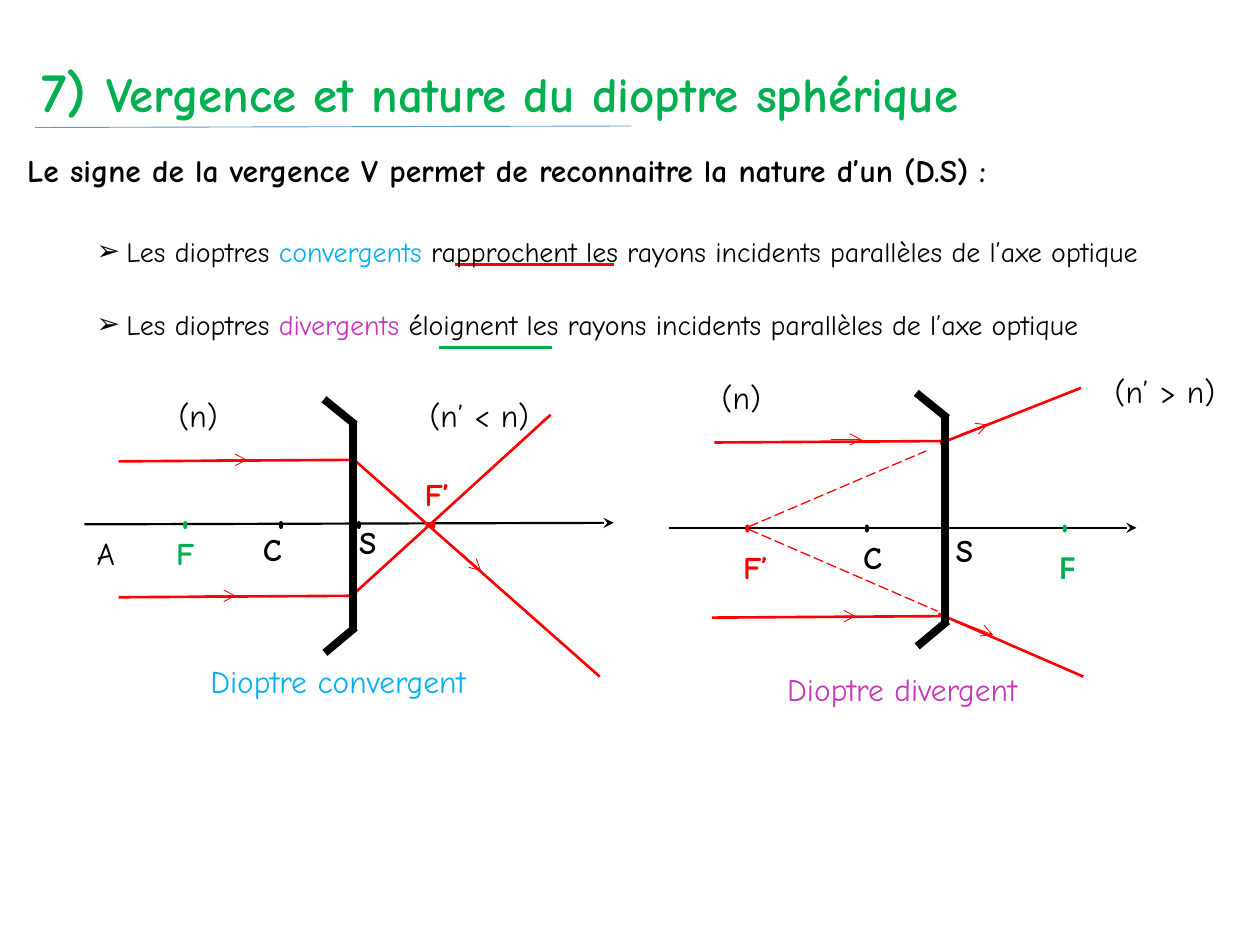
from dataclasses import dataclass

from lxml.etree import SubElement
from pptx import Presentation
from pptx.dml.color import RGBColor
from pptx.enum.dml import MSO_LINE_DASH_STYLE as Dash
from pptx.enum.shapes import MSO_CONNECTOR as Connector, MSO_SHAPE as Shape
from pptx.enum.text import PP_ALIGN as Align
from pptx.oxml.ns import qn
from pptx.util import Cm, Pt

COLORS = {
    "black": "000000", "red": "FF0000", "green": "00B050",
    "cyan": "00B0F0", "purple": "C937B8", "blue": "5B9BD5",
}
FONT = "Comic Neue"


@dataclass
class Line:
    start: tuple[float, float]
    end: tuple[float, float]
    color: str = "red"
    weight: float = 1.5
    head: str = ""
    dashed: bool = False


@dataclass
class Span:
    text: str
    color: str = "black"
    size: float = 18


@dataclass
class Label:
    left: float
    top: float
    width: float
    spans: list[Span]
    height: float = 1.02
    bold: bool = False
    align: Align = Align.LEFT
    bullet: bool = False
    font: str = FONT
    wrap: bool = True


@dataclass
class Dot:
    left: float
    top: float
    color: str = "black"


def rgb(name: str) -> RGBColor:
    return RGBColor.from_string(COLORS[name])


def draw_line(page, line: Line) -> None:
    points = [Cm(value) for value in (*line.start, *line.end)]
    connector = page.shapes.add_connector(Connector.STRAIGHT, *points)
    connector.line.color.rgb = rgb(line.color)
    connector.line.width = Pt(line.weight)
    if line.dashed:
        connector.line.dash_style = Dash.LONG_DASH
    if line.head:
        outline = connector.line._get_or_add_ln()
        SubElement(outline, qn("a:tailEnd"), type=line.head)
    SubElement(connector._element.spPr, qn("a:effectLst"))


def draw_dot(page, dot: Dot) -> None:
    shape = page.shapes.add_shape(Shape.OVAL, Cm(dot.left), Cm(dot.top), Cm(0.05), Cm(0.13))
    shape.shadow.inherit = False
    shape.fill.solid()
    shape.fill.fore_color.rgb = rgb(dot.color)
    shape.line.color.rgb = rgb(dot.color)
    shape.line.width = Pt(1)


def add_bullet(para) -> None:
    props = para._p.get_or_add_pPr()
    indent = Cm(0.6)
    props.set("marL", str(indent))
    props.set("indent", str(-indent))
    color = SubElement(props, qn("a:buClr"))
    SubElement(color, qn("a:srgbClr"), val=COLORS["black"])
    SubElement(props, qn("a:buFont"), typeface="Wingdings")
    SubElement(props, qn("a:buChar"), char="➢")
    props[-2].set("typeface", "Arial")


def draw_label(page, label: Label) -> None:
    box = page.shapes.add_textbox(
        Cm(label.left), Cm(label.top), Cm(label.width), Cm(label.height))
    box.text_frame.word_wrap = label.wrap
    para = box.text_frame.paragraphs[0]
    para.alignment = label.align
    if label.bullet:
        add_bullet(para)
    para.font.name = label.font
    para.font.bold = label.bold
    for span in label.spans:
        run = para.add_run()
        run.text = span.text
        run.font.size = Pt(span.size)
        run.font.color.rgb = rgb(span.color)


def draw_lens(page, x: float, top: float) -> None:
    strokes = [
        ((0, 0), (0, 4.22)),
        ((0.05, 4.14), (-0.56, 4.65)),
        ((-0.58, -0.46), (0.05, 0.05)),
    ]
    for (x1, y1), (x2, y2) in strokes:
        draw_line(page, Line((x + x1, top + y1), (x + x2, top + y2), "black", 4.5))


def point(left: float, top: float, width: float, name: str, color: str = "black",
          **options) -> Label:
    return Label(left, top, width, [Span(name, color)], bold=True, **options)


def ray_mark(start: tuple[float, float], end: tuple[float, float]) -> Line:
    return Line(start, end, weight=0.5, head="arrow")


LINES = [
    Line((0.71, 2.57), (12.73, 2.54), "blue", 0.5),
    Line((9.17, 5.33), (12.37, 5.33)),
    Line((8.84, 7.01), (11.13, 7.01), "green"),
    Line((1.7, 10.57), (12.37, 10.54), "black", 1.25, "stealth"),
    Line((2.39, 9.3), (7.11, 9.27)),
    Line((7.14, 9.27), (12.09, 13.64)),
    Line((2.39, 12.04), (7.11, 12.01)),
    Line((7.09, 12.01), (11.1, 8.36)),
    ray_mark((4.37, 9.27), (4.98, 9.27)),
    ray_mark((9.3, 11.15), (9.7, 11.51)),
    ray_mark((4.14, 12.01), (4.75, 12.01)),
    Line((13.49, 10.64), (22.91, 10.64), "black", 1.25, "stealth"),
    Line((14.4, 8.92), (19.13, 8.89)),
    Line((18.95, 8.94), (21.79, 7.82)),
    Line((14.35, 12.45), (19.05, 12.42)),
    Line((18.92, 12.37), (21.84, 13.64)),
    Line((15.09, 10.62), (18.67, 9.09), weight=0.75, dashed=True),
    Line((15.09, 10.67), (18.9, 12.32), weight=0.75, dashed=True),
    ray_mark((16.76, 8.86), (17.37, 8.86)),
    ray_mark((19.35, 8.76), (19.91, 8.56)),
    ray_mark((16.64, 12.42), (17.25, 12.42)),
    ray_mark((19.3, 12.52), (20.02, 12.8)),
]

DOTS = [
    Dot(7.21, 10.52), Dot(5.64, 10.52), Dot(3.71, 10.52, "green"), Dot(8.71, 10.52, "red"),
    Dot(19.02, 10.59), Dot(17.45, 10.59), Dot(21.44, 10.59, "green"), Dot(15.04, 10.59, "red"),
]

LABELS = [
    Label(0.58, 1.02, 23.7, [
        Span("7) ", "green", 32),
        Span("Vergence et nature du dioptre sphérique", "green", 28),
    ], height=1.63, bold=True, align=Align.JUSTIFY),
    Label(0.3, 2.92, 25.1, [
        Span("Le signe de la vergence V permet de reconnaitre la nature d’un (D.S) :"),
    ], bold=True),
    Label(1.7, 4.6, 23.7, [
        Span("Les dioptres ", size=16),
        Span("convergents", "cyan", 16),
        Span(" rapprochent les rayons incidents parallèles de l’axe optique", size=16),
    ], bullet=True),
    Label(1.7, 6.07, 23.01, [
        Span("Les dioptres", size=16),
        Span(" divergents ", "purple", 16),
        Span("éloignent les rayons incidents parallèles de l’axe optique", size=16),
    ], height=0.94, bullet=True),
    Label(2.84, 7.85, 2.31, [Span("(n)")], align=Align.CENTER),
    Label(8.23, 7.85, 2.87, [Span("(n’ < n)")], align=Align.CENTER),
    Label(1.7, 10.64, 0.76, [Span("A")]),
    point(3.3, 10.64, 0.76, "F", "green"),
    point(5.05, 10.57, 0.76, "C"),
    point(6.99, 10.41, 0.76, "S"),
    point(8.31, 9.45, 1.12, "F’’", "red", height=1.78),
    Label(3.99, 13.23, 6.81, [Span("Dioptre convergent", "cyan")]),
    Label(13.79, 7.49, 2.31, [Span("(n)")], align=Align.CENTER),
    Label(21.95, 7.37, 3.07, [Span("(n’ > n)")], align=Align.CENTER),
    point(14.73, 10.92, 1.17, "F’", "red"),
    point(17.15, 10.72, 0.76, "C"),
    point(19.02, 10.59, 0.79, "S"),
    point(21.11, 10.92, 0.99, "F", "green", font="Arial Narrow"),
    Label(15.62, 13.39, 5.18, [Span("Dioptre divergent", "purple")], wrap=False),
]


def main() -> None:
    deck = Presentation()
    deck.slide_width, deck.slide_height = Cm(25.4), Cm(19.05)
    page = deck.slides.add_slide(deck.slide_layouts[6])
    for line in LINES:
        draw_line(page, line)
    for dot in DOTS:
        draw_dot(page, dot)
    draw_lens(page, 7.11, 8.51)
    draw_lens(page, 19.05, 8.38)
    for label in LABELS:
        draw_label(page, label)
    deck.save("out.pptx")


if __name__ == "__main__":
    main()
